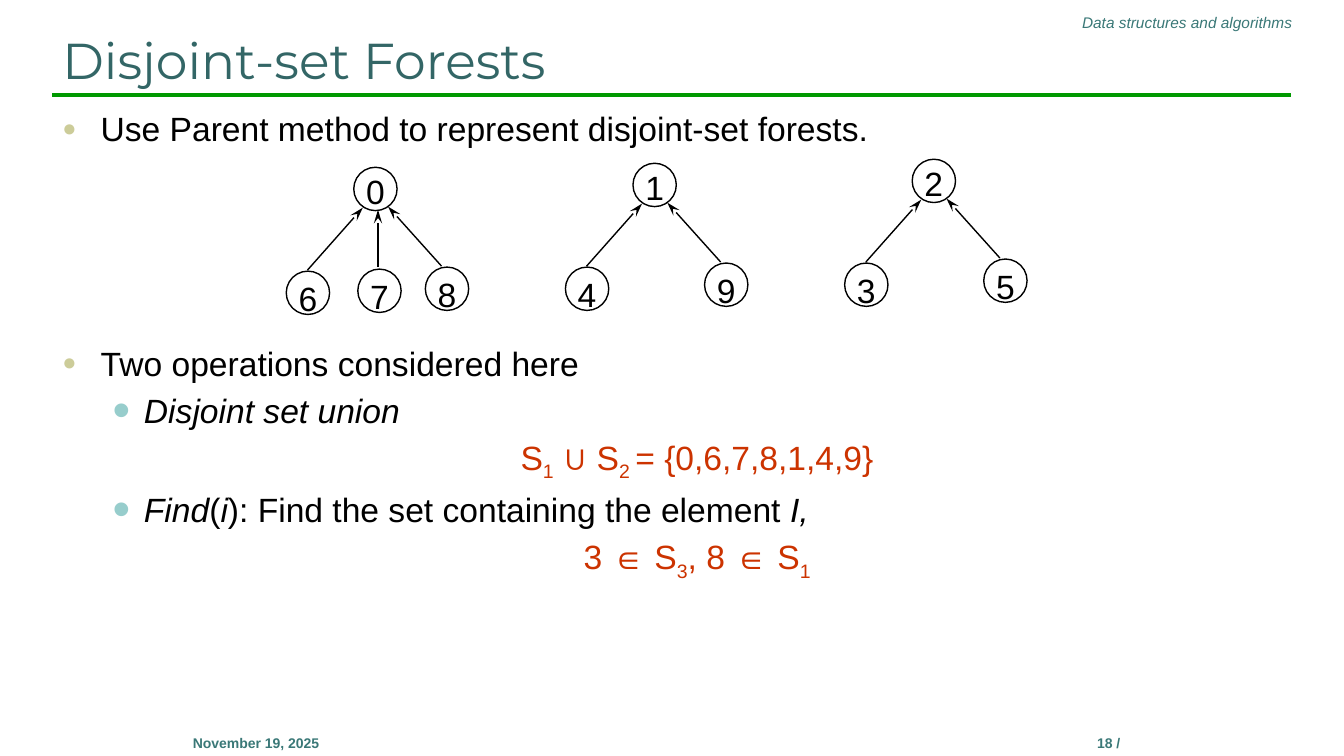
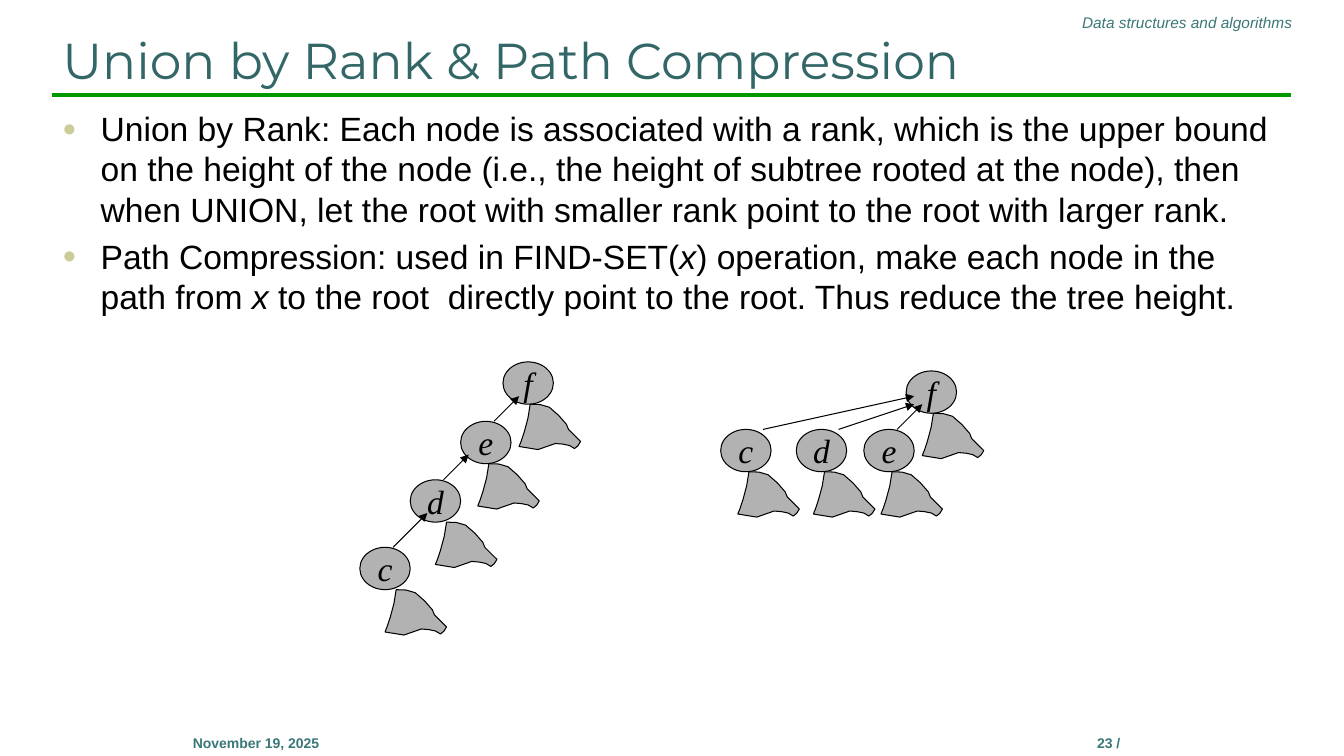
from dataclasses import dataclass

from lxml.etree import SubElement
from pptx import Presentation
from pptx.dml.color import RGBColor
from pptx.enum.shapes import MSO_CONNECTOR, MSO_SHAPE
from pptx.enum.text import MSO_ANCHOR, PP_ALIGN
from pptx.oxml.ns import qn
from pptx.util import Inches, Pt


@dataclass(frozen=True)
class Theme:
    """Colours, fonts and type sizes shared by the slides."""

    title: str = "336666"
    footer: str = "3A7877"
    rule: str = "009900"
    ink: str = "000000"
    formula: str = "CC3300"
    node: str = "B2B2B2"
    bullet: str = "CCCC99"
    sub_bullet: str = "97CDCC"
    body_font: str = "Arial"
    title_font: str = "Montserrat"
    node_font: str = "Times New Roman"
    title_size: int = 36
    body_size: int = 24
    header_size: int = 11
    footer_size: int = 10


THEME = Theme()
LEVELS = {
    "item": dict(margin=0.38, hang=-0.38, char="●", color=THEME.bullet, percent=70),
    "sub": dict(margin=0.81, hang=-0.31, char="•", color=THEME.sub_bullet, percent=150),
    "formula": dict(margin=0.81, hang=-0.31, char=None),
}
SUBTREE_START = (0.11, 0)
SUBTREE_CURVES = [
    ((0.10, 0.09), (0.08, 0.19), (0.05, 0.28)),
    ((0.04, 0.31), (0.03, 0.34), (0.02, 0.37)),
    ((0.01, 0.39), (0, 0.42), (0, 0.42)),
    ((0.13, 0.47), (0.25, 0.46), (0.36, 0.39)),
    ((0.41, 0.40), (0.46, 0.39), (0.50, 0.41)),
    ((0.52, 0.41), (0.53, 0.44), (0.55, 0.44)),
    ((0.58, 0.43), (0.59, 0.40), (0.61, 0.37)),
    ((0.57, 0.33), (0.53, 0.29), (0.49, 0.25)),
    ((0.48, 0.24), (0.48, 0.21), (0.47, 0.20)),
    ((0.45, 0.17), (0.34, 0.05), (0.30, 0.03)),
    ((0.24, 0), (0.18, 0), (0.11, 0)),
]
CURVE_STEPS = 2
CHILD_PLACES = {
    "left": ((-0.67, 1.03), (-0.46, 1.02), (0.09, 0.40)),
    "middle": ((0.04, 1.01), (0.24, 0.99), (0.24, 0.42)),
    "right": ((0.71, 0.99), (0.87, 0.98), (0.34, 0.39)),
}


def rgb(value):
    """Turn a hex string into a colour."""
    return RGBColor.from_string(value)


def add_run(paragraph, text, size, color=THEME.ink, font=THEME.body_font,
            bold=False, italic=False, subscript=False):
    """Append one formatted run."""
    run = paragraph.add_run()
    run.text = text
    run.font.size = Pt(size)
    run.font.name = font
    run.font.bold = bold
    run.font.italic = italic
    run.font.color.rgb = rgb(color)
    if subscript:
        run.font._element.set("baseline", "-25000")


def add_frame(slide, box):
    """Add a wrapping text box and return its frame."""
    frame = slide.shapes.add_textbox(*map(Inches, box)).text_frame
    frame.word_wrap = True
    return frame


def add_label(slide, box, text, size, align=PP_ALIGN.LEFT, anchor=MSO_ANCHOR.TOP, **style):
    """Add a text box holding a single run."""
    frame = add_frame(slide, box)
    frame.vertical_anchor = anchor
    frame.paragraphs[0].alignment = align
    add_run(frame.paragraphs[0], text, size, **style)


def add_line(slide, start, end, color=THEME.ink, width=1, arrow=None, length="med"):
    """Draw a straight line, with an arrowhead at its end if asked."""
    line = slide.shapes.add_connector(
        MSO_CONNECTOR.STRAIGHT, *map(Inches, (*start, *end)))
    line.line.color.rgb = rgb(color)
    line.line.width = Pt(width)
    if arrow:
        SubElement(line.line._get_or_add_ln(), qn("a:tailEnd"), type=arrow, len=length)
    SubElement(line._element.spPr, qn("a:effectLst"))


def shift(origin, offset):
    """Move a point by an offset."""
    return origin[0] + offset[0], origin[1] + offset[1]


def set_outline(shape, width, fill=None):
    """Give a shape its fill and black outline."""
    shape.shadow.inherit = False
    if fill:
        shape.fill.solid()
        shape.fill.fore_color.rgb = rgb(fill)
    else:
        shape.fill.background()
    shape.line.color.rgb = rgb(THEME.ink)
    shape.line.width = Pt(width)


def add_node(slide, origin, size, text, width, fill=None, drop=0, **style):
    """Draw an oval node with its label inside."""
    node = slide.shapes.add_shape(MSO_SHAPE.OVAL, *map(Inches, (*origin, *size)))
    set_outline(node, width, fill)
    frame = node.text_frame
    frame.word_wrap = False
    frame.vertical_anchor = MSO_ANCHOR.MIDDLE
    frame.margin_left = frame.margin_right = frame.margin_bottom = 0
    frame.margin_top = Inches(drop)
    frame.paragraphs[0].alignment = PP_ALIGN.CENTER
    add_run(frame.paragraphs[0], text, THEME.body_size, **style)


def set_level(paragraph, margin, hang, char, color=None, percent=None):
    """Set the indent and bullet of a paragraph."""
    properties = paragraph._p.get_or_add_pPr()
    properties.set("marL", str(Inches(margin)))
    properties.set("indent", str(Inches(hang)))
    if char:
        bullet_color = SubElement(properties, qn("a:buClr"))
        SubElement(bullet_color, qn("a:srgbClr"), val=color)
        SubElement(properties, qn("a:buSzPct"), val=str(percent * 1000))
        SubElement(properties, qn("a:buFont"), typeface=THEME.body_font)
        SubElement(properties, qn("a:buChar"), char=char)
    else:
        SubElement(properties, qn("a:buNone"))


def add_body(slide, box, items):
    """Write paragraphs of (level, runs), where a run is text and a style mark."""
    frame = add_frame(slide, box)
    for index, (level, runs) in enumerate(items):
        paragraph = frame.add_paragraph() if index else frame.paragraphs[0]
        set_level(paragraph, **LEVELS[level])
        paragraph.space_before = Pt(4.8 if index else 0)
        is_formula = level == "formula"
        paragraph.alignment = PP_ALIGN.CENTER if is_formula else PP_ALIGN.LEFT
        for text, mark in runs:
            add_run(paragraph, text, THEME.body_size,
                    color=THEME.formula if is_formula else THEME.ink,
                    italic=mark == "italic", subscript=mark == "subscript")


def add_base(deck, title, page):
    """Add a slide with the header, title, rule and footers."""
    slide = deck.slides.add_slide(deck.slide_layouts[6])
    add_line(slide, (0.52, 0.94), (12.81, 0.94), THEME.rule, 3)
    add_label(slide, (5.63, 0.08, 7.29, 0.29), "Data structures and algorithms",
              THEME.header_size, PP_ALIGN.RIGHT, color=THEME.footer, italic=True)
    for left, text in ((9.5, page), (1.04, "November 19, 2025")):
        add_label(slide, (left, 7.24, 3, 0.5), text, THEME.footer_size,
                  PP_ALIGN.CENTER, color=THEME.footer, bold=True)
    add_label(slide, (0.52, 0.24, 12.29, 0.7), title, THEME.title_size,
              anchor=MSO_ANCHOR.BOTTOM, color=THEME.title, font=THEME.title_font)
    return slide


def add_set_tree(slide, origin, root, children):
    """Draw a set as a root with children pointing up to it."""
    style = dict(size=(0.43, 0.43), width=1)
    add_node(slide, origin, text=root, drop=0.05, **style)
    for place, child in children.items():
        offset, start, end = CHILD_PLACES[place]
        add_node(slide, shift(origin, offset), text=child, drop=0.11, **style)
        add_line(slide, shift(origin, start), shift(origin, end),
                 arrow="stealth", length="lg")


def add_subtree(slide, origin):
    """Draw the curved subtree outline that hangs from a node."""
    points = [SUBTREE_START]
    for first, second, last in SUBTREE_CURVES:
        corners = (points[-1], first, second, last)
        for step in range(1, CURVE_STEPS + 1):
            t = step / CURVE_STEPS
            weights = ((1 - t) ** 3, 3 * t * (1 - t) ** 2, 3 * t * t * (1 - t), t ** 3)
            points.append(tuple(
                sum(weight * corner[axis] for weight, corner in zip(weights, corners))
                for axis in (0, 1)))
    outline = [tuple(map(Inches, shift(origin, point))) for point in points[:-1]]
    builder = slide.shapes.build_freeform(*outline[0])
    builder.add_line_segments(outline[1:], close=True)
    set_outline(builder.convert_to_shape(), 0.75, THEME.node)


def add_path_tree(slide, origin, nodes, edges):
    """Draw nodes of (label, offset, subtree shift) and the edges between them."""
    for label, offset, subtree_shift in nodes:
        corner = shift(origin, offset)
        add_node(slide, corner, (0.5, 0.42), label, 0.75, THEME.node,
                 font=THEME.node_font, italic=True)
        add_subtree(slide, shift(corner, (subtree_shift, 0.42)))
    for start, end in edges:
        add_line(slide, shift(origin, start), shift(origin, end),
                 width=0.75, arrow="triangle")


def add_forests_slide(deck):
    """Build the slide on disjoint-set forests."""
    slide = add_base(deck, "Disjoint-set Forests", "18 /")
    add_body(slide, (0.52, 1.02, 12.29, 0.5), [
        ("item", [("Use Parent method to represent disjoint-set forests.", None)]),
    ])
    add_body(slide, (0.52, 3.35, 12.29, 3.76), [
        ("item", [("Two operations considered here", None)]),
        ("sub", [("Disjoint set union", "italic")]),
        ("formula", [("S", None), ("1", "subscript"), (" ∪ S", None),
                     ("2 ", "subscript"), ("= {0,6,7,8,1,4,9}", None)]),
        ("sub", [("Find", "italic"), ("(", None), ("i", "italic"),
                 ("): Find the set containing the element ", None), ("I,", "italic")]),
        ("formula", [("3 ∈ S", None), ("3", "subscript"), (", 8 ∈ S", None),
                     ("1", "subscript")]),
    ])
    forest = [
        ("0", {"left": "6", "right": "8", "middle": "7"}),
        ("1", {"left": "4", "right": "9"}),
        ("2", {"left": "3", "right": "5"}),
    ]
    for index, (root, children) in enumerate(forest):
        add_set_tree(slide, (3.51 + 2.77 * index, 1.66 - 0.04 * index), root, children)


def add_compression_slide(deck):
    """Build the slide on union by rank and path compression."""
    slide = add_base(deck, "Union by Rank & Path Compression", "23 /")
    add_body(slide, (0.52, 1.02, 12.29, 6.09), [
        ("item", [("Union by Rank: Each node is associated with a rank, which is the "
                   "upper bound on the height of the node (i.e., the height of subtree "
                   "rooted at the node), then when UNION, let the root with smaller rank "
                   "point to the root with larger rank.", None)]),
        ("item", [("Path Compression: used in FIND-SET(", None), ("x", "italic"),
                  (") operation, make each node in the path from ", None),
                  ("x", "italic"),
                  (" to the root  directly point to the root. "
                   "Thus reduce the tree height.", None)]),
    ])
    add_path_tree(
        slide, (3.57, 3.59),
        [("f", (1.42, 0), 0.16), ("e", (1, 0.59), 0.17),
         ("d", (0.5, 1.17), 0.25), ("c", (0, 1.84), 0.25)],
        [((1.33, 0.59), (1.58, 0.34)), ((0.83, 1.17), (1.08, 0.92)),
         ((0.33, 1.84), (0.67, 1.5))])
    add_path_tree(
        slide, (7.15, 3.68),
        [("f", (1.84, 0), 0.16), ("e", (1.42, 0.58), 0.17),
         ("d", (0.75, 0.58), 0.17), ("c", (0, 0.58), 0.17)],
        [((1.75, 0.58), (2, 0.33)), ((1.17, 0.58), (1.92, 0.33)),
         ((0.42, 0.58), (1.92, 0.25))])


def main():
    """Build and save the deck."""
    deck = Presentation()
    deck.slide_width, deck.slide_height = Inches(40 / 3), Inches(7.5)
    add_forests_slide(deck)
    add_compression_slide(deck)
    deck.save("out.pptx")


if __name__ == "__main__":
    main()
